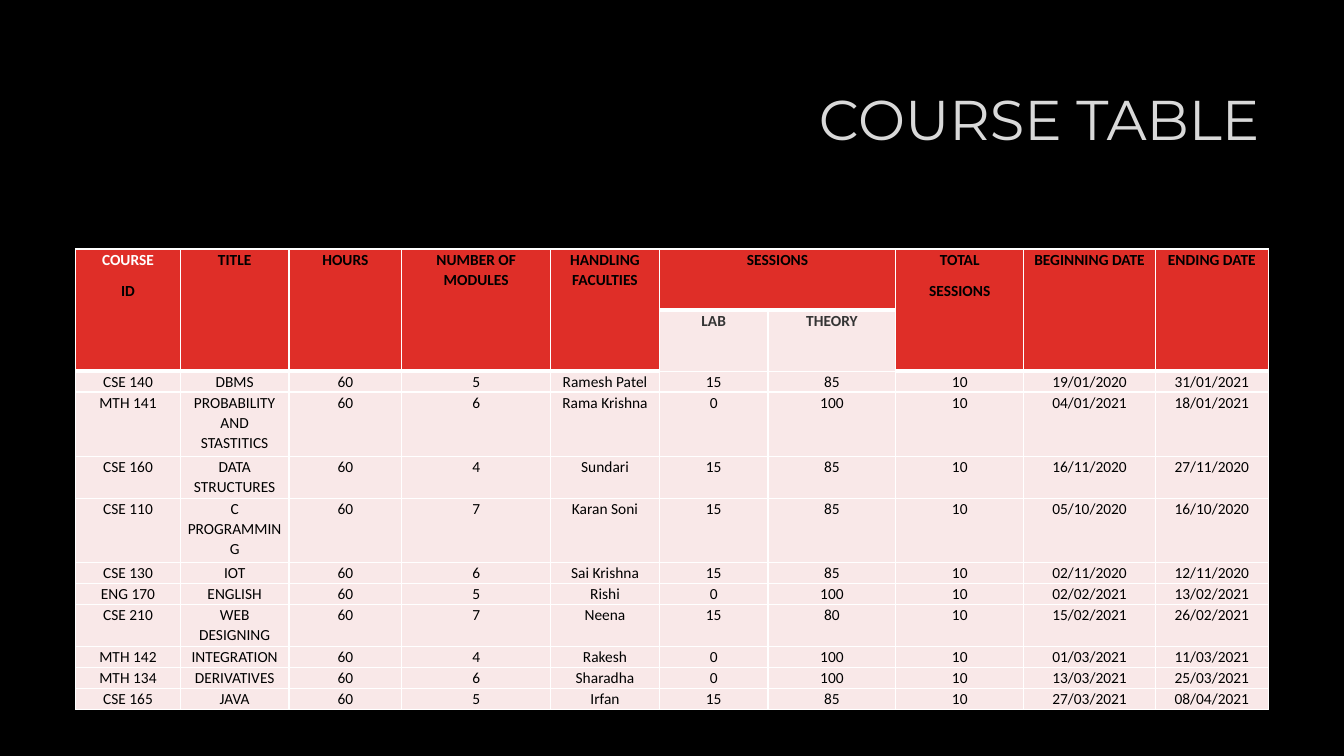
from dataclasses import dataclass

from lxml import etree
from pptx import Presentation
from pptx import util as u
from pptx.dml.color import RGBColor
from pptx.enum import text
from pptx.oxml import ns


@dataclass(frozen=True)
class Theme:
    back: str = "000000"
    title: str = "D9D9D9"
    white: str = "FFFFFF"
    ink: str = "000000"
    subhead: str = "343434"
    head_fill: str = "DF2E28"
    body_fill: str = "F9E8E8"
    title_font: str = "Montserrat"
    table_font: str = "Calibri"
    title_size: float = 40
    table_size: float = 11
    outline: float = 0.75
    rule: float = 1
    head_rule: float = 3


class Deck:
    """Holds the theme and the current slide; areas are percentages of the slide."""

    def __init__(self, theme):
        self.theme = theme
        self.prs = Presentation()
        self.prs.slide_width, self.prs.slide_height = u.Inches(13.33), u.Inches(7.5)

    def new_slide(self):
        self.s = self.prs.slides.add_slide(self.prs.slide_layouts[5])
        fill = self.s.background.fill
        fill.solid()
        fill.fore_color.rgb = RGBColor.from_string(self.theme.back)

    def area(self, x, y, w, h):
        width, height = self.prs.slide_width, self.prs.slide_height
        return [int(side * share / 100)
                for side, share in zip((width, height) * 2, (x, y, w, h))]

    def add_run(self, p, words, font, size, color, bold=False):
        r = p.add_run()
        r.text = words
        r.font.name, r.font.size, r.font.bold = font, u.Pt(size), bold
        r.font.color.rgb = RGBColor.from_string(color)
        return r

    def add_line(self, parent, tag, color, width):
        ln = etree.SubElement(parent, ns.qn(f"a:{tag}"), w=str(u.Pt(width)))
        solid = etree.SubElement(ln, ns.qn("a:solidFill"))
        etree.SubElement(solid, ns.qn("a:srgbClr"), val=color)
        return ln

    def title(self, words, area):
        t = self.theme
        sp = self.s.shapes.title
        sp.left, sp.top, sp.width, sp.height = self.area(*area)
        tf = sp.text_frame
        tf.word_wrap = True
        tf.auto_size = text.MSO_AUTO_SIZE.NONE
        tf.vertical_anchor = text.MSO_ANCHOR.MIDDLE
        p = tf.paragraphs[0]
        p.alignment, p.line_spacing = text.PP_ALIGN.RIGHT, 0.9
        r = self.add_run(p, words, t.title_font, t.title_size, t.title)
        props = r.font._element
        props.insert(0, self.add_line(props, "ln", t.white, t.outline))
        # The title sits on the upper of two lines
        p.add_line_break()
        p._p[-1].append(etree.fromstring(etree.tostring(props)))

    def table(self, area, columns, rows):
        x, y, w, h = self.area(*area)
        tbl = self.s.shapes.add_table(len(rows), len(columns), x, y, w, h).table
        tbl.first_row = tbl.horz_banding = False
        for tracks, weights, side, name in ((tbl.columns, columns, w, "width"),
                                            (tbl.rows, rows, h, "height")):
            for track, weight in zip(tracks, weights):
                setattr(track, name, int(side * weight / sum(weights)))
        return tbl

    def style_cell(self, cell, fill, bottom):
        t = self.theme
        cell.margin_left = cell.margin_right = u.Inches(0.07)
        cell.margin_top = cell.margin_bottom = 0
        tc_pr = cell._tc.get_or_add_tcPr()
        for tag in ("lnL", "lnR", "lnT"):
            self.add_line(tc_pr, tag, t.white, t.rule)
        self.add_line(tc_pr, "lnB", t.white, bottom)
        cell.fill.solid()
        cell.fill.fore_color.rgb = RGBColor.from_string(fill)

    def cell_text(self, cell, lines, colors, bold=False):
        t, tf = self.theme, cell.text_frame
        for i, (words, color) in enumerate(zip(lines, colors)):
            p = tf.paragraphs[0] if i == 0 else tf.add_paragraph()
            p.alignment, p.line_spacing = text.PP_ALIGN.CENTER, 1.07
            p.space_after = u.Pt(8)
            self.add_run(p, words, t.table_font, t.table_size, color, bold)


# Header labels by column; each entry is a list of paragraphs
HEADERS = {0: ["COURSE", "ID"], 1: ["TITLE"], 2: ["HOURS"], 3: ["NUMBER OF MODULES"],
           4: ["HANDLING FACULTIES"], 5: ["SESSIONS"], 7: ["TOTAL", "SESSIONS"],
           8: ["BEGINNING DATE"], 9: ["ENDING DATE"]}
SESSION_KINDS = {5: "LAB", 6: "THEORY"}

# Course, title, modules, faculty, lab, theory, beginning, ending
COURSES = [
    ("CSE 140", "DBMS", 5, "Ramesh Patel", 15, 85, "19/01/2020", "31/01/2021"),
    ("MTH 141", "PROBABILITY AND STASTITICS", 6, "Rama Krishna", 0, 100,
     "04/01/2021", "18/01/2021"),
    ("CSE 160", "DATA STRUCTURES", 4, "Sundari", 15, 85, "16/11/2020", "27/11/2020"),
    ("CSE 110", "C PROGRAMMING", 7, "Karan Soni", 15, 85, "05/10/2020", "16/10/2020"),
    ("CSE 130", "IOT", 6, "Sai Krishna", 15, 85, "02/11/2020", "12/11/2020"),
    ("ENG 170", "ENGLISH", 5, "Rishi", 0, 100, "02/02/2021", "13/02/2021"),
    ("CSE 210", "WEB DESIGNING", 7, "Neena", 15, 80, "15/02/2021", "26/02/2021"),
    ("MTH 142", "INTEGRATION", 4, "Rakesh", 0, 100, "01/03/2021", "11/03/2021"),
    ("MTH 134", "DERIVATIVES", 6, "Sharadha", 0, 100, "13/03/2021", "25/03/2021"),
    ("CSE 165", "JAVA", 5, "Irfan", 15, 85, "27/03/2021", "08/04/2021"),
]
HOURS, TOTAL_SESSIONS = 60, 10
COLUMN_WEIGHTS = [104, 108, 112, 148, 108, 108, 127, 127, 131, 112]
ROW_WEIGHTS = [61, 61, 21, 64, 42, 64, 21, 21, 42, 21, 21, 21]


def main():
    t = Theme()
    deck = Deck(t)
    deck.new_slide()

    # Title
    deck.title("COURSE TABLE", (23.78, 11.2, 70.67, 18.8))

    # Table grid and cell styles
    tbl = deck.table((5.63, 32.93, 88.75, 60.93), COLUMN_WEIGHTS, ROW_WEIGHTS)
    for row in range(len(ROW_WEIGHTS)):
        for col in range(len(COLUMN_WEIGHTS)):
            head = row == 0 or (row == 1 and col not in SESSION_KINDS)
            deck.style_cell(tbl.cell(row, col), t.head_fill if head else t.body_fill,
                            t.head_rule if head else t.rule)

    # Two-row header
    for col, lines in HEADERS.items():
        cell = tbl.cell(0, col)
        cell.merge(tbl.cell(0, 6) if col == 5 else tbl.cell(1, col))
        first = t.white if col == 0 else t.ink
        deck.cell_text(cell, lines, (first, t.ink), bold=True)
    for col, kind in SESSION_KINDS.items():
        deck.cell_text(tbl.cell(1, col), [kind], [t.subhead], bold=True)

    # Course rows
    for row, (code, name, modules, faculty, lab, theory, start, end) in enumerate(COURSES, 2):
        values = (code, name, HOURS, modules, faculty, lab, theory,
                  TOTAL_SESSIONS, start, end)
        for col, value in enumerate(values):
            deck.cell_text(tbl.cell(row, col), [str(value)], [t.ink])

    deck.prs.save("out.pptx")


if __name__ == "__main__":
    main()
